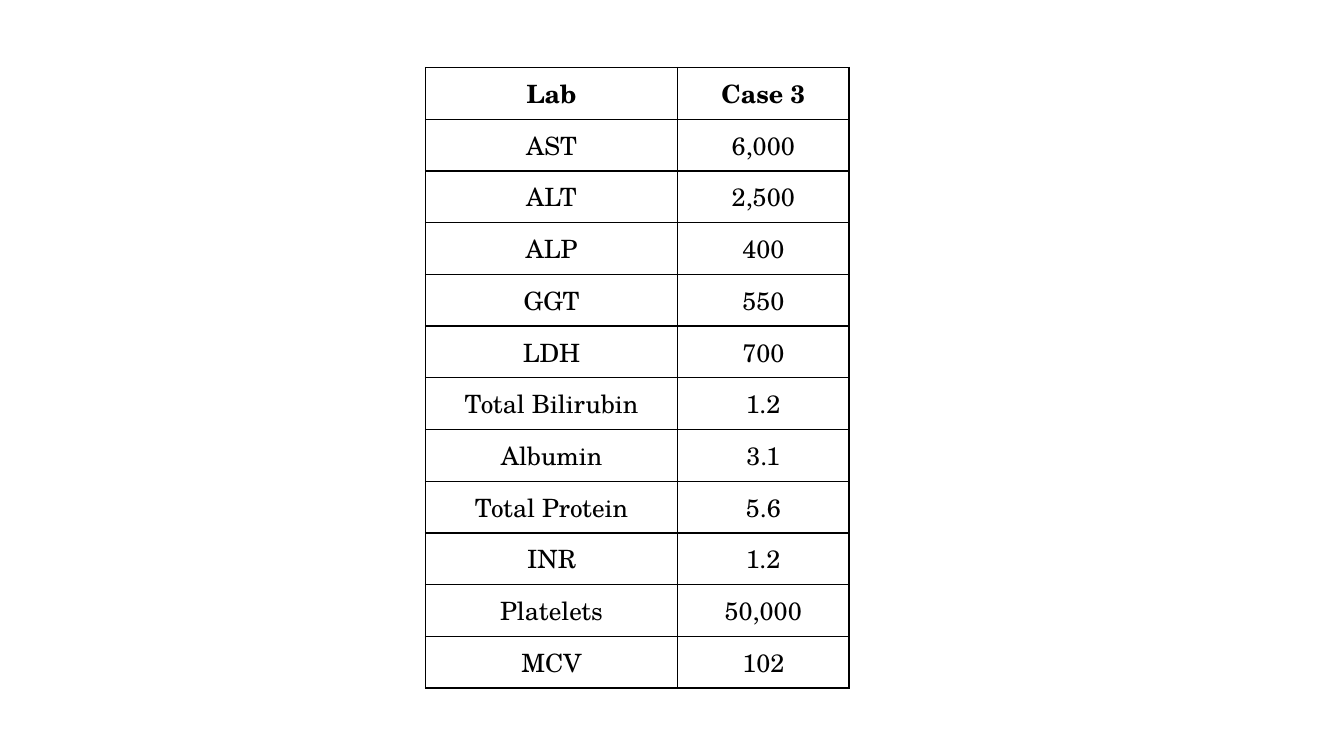
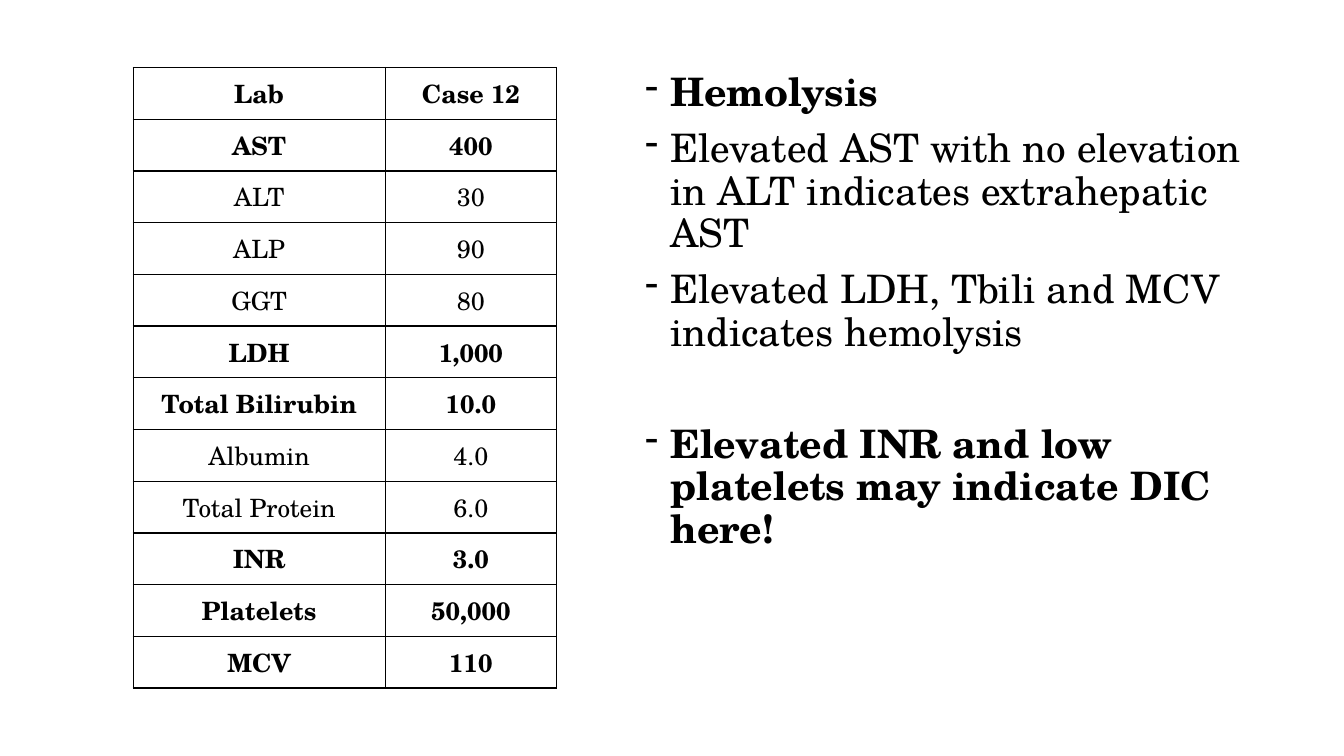
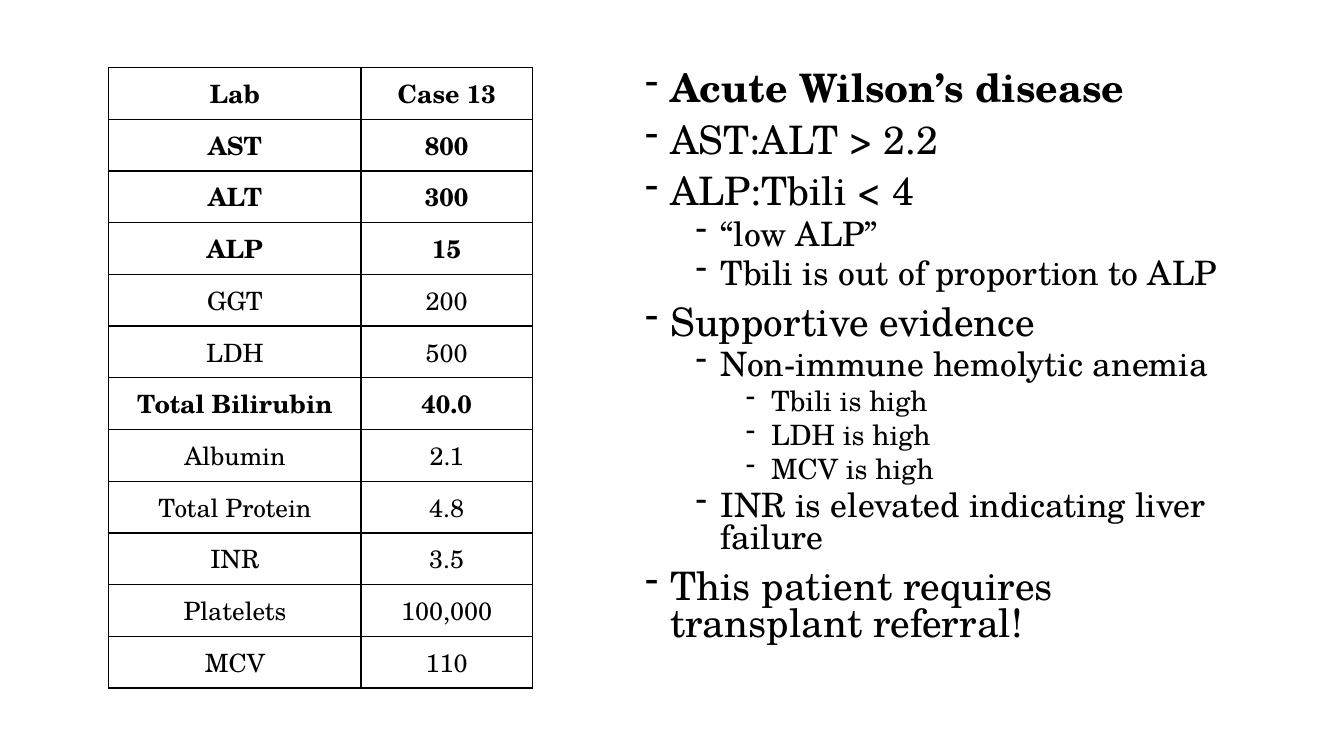
from lxml.etree import SubElement
from pptx import Presentation
from pptx.dml.color import RGBColor
from pptx.enum.text import MSO_ANCHOR as Anchor, PP_ALIGN as Align
from pptx.oxml import parse_xml
from pptx.oxml.ns import nsdecls, qn
from pptx.util import Inches, Pt

BLACK = RGBColor(0x00, 0x00, 0x00)
WHITE = RGBColor(0xFF, 0xFF, 0xFF)
FACE = "TeX Gyre Schola"
TOP, HIGH = 0.67, 6.16
COLS = (2.5, 1.7)
NOTES = (6.3, TOP, 6.11, HIGH)
SIZES = (28, 24, 20)    # note text by level
GAPS = (10, 5, 5)       # space before a note by level
LABS = ("AST", "ALT", "ALP", "GGT", "LDH", "Total Bilirubin", "Albumin",
        "Total Protein", "INR", "Platelets", "MCV")


def style(font, size, bold):
    font.name = FACE
    font.size = Pt(size)
    font.bold = bold
    font.color.rgb = BLACK


def border(cell):
    """Rule all four sides of a cell; the lines must precede its fill."""
    props = cell._tc.get_or_add_tcPr()
    for spot, side in enumerate("LRTB"):
        props.insert(spot, parse_xml(
            f'<a:ln{side} {nsdecls("a")} w="{Pt(1)}"><a:solidFill>'
            f'<a:srgbClr val="{BLACK}"/></a:solidFill></a:ln{side}>'))


def lab_table(slide, left, case, values, high=()):
    """Table of results; the labs named in high are bold."""
    rows = [("Lab", case), *zip(LABS, values)]
    table = slide.shapes.add_table(
        len(rows), len(COLS), Inches(left), Inches(TOP),
        Inches(sum(COLS)), Inches(HIGH)).table
    table.first_row = table.horz_banding = False
    for col, width in zip(table.columns, COLS):
        col.width = Inches(width)
    for r, row in enumerate(rows):
        for c, text in enumerate(row):
            cell = table.cell(r, c)
            cell.fill.solid()
            cell.fill.fore_color.rgb = WHITE
            border(cell)
            cell.vertical_anchor = Anchor.MIDDLE
            cell.text = text
            para = cell.text_frame.paragraphs[0]
            para.alignment = Align.CENTER
            style(para.font, 18, r == 0 or row[0] in high)


def dash(para, level):
    props = para._p.get_or_add_pPr()
    props.set("marL", str(Inches(0.25 + 0.5 * level)))
    props.set("indent", str(Inches(-0.25)))
    SubElement(props, qn("a:buChar")).set("char", "-")


def note_list(slide, box, notes, pitch, bold=(), wide=()):
    """Dashed notes as (level, text); bold and wide hold indexes.

    A wide note stands one empty line further down.
    """
    frame = slide.shapes.add_textbox(*map(Inches, box)).text_frame
    frame.word_wrap = True
    for i, (level, text) in enumerate(notes):
        para = frame.add_paragraph() if i else frame.paragraphs[0]
        para.text = text
        para.level = level
        para.line_spacing = pitch
        if i:
            para.space_before = Pt(50 if i in wide else GAPS[level])
        dash(para, level)
        style(para.font, SIZES[level], i in bold)


def case_3(slide):
    lab_table(slide, 4.22, "Case 3",
              ("6,000", "2,500", "400", "550", "700", "1.2", "3.1", "5.6",
               "1.2", "50,000", "102"))


def case_12(slide):
    lab_table(slide, 1.32, "Case 12",
              ("400", "30", "90", "80", "1,000", "10.0", "4.0", "6.0",
               "3.0", "50,000", "110"),
              ("AST", "LDH", "Total Bilirubin", "INR", "Platelets", "MCV"))
    note_list(slide, NOTES, (
        (0, "Hemolysis"),
        (0, "Elevated AST with no elevation in ALT indicates extrahepatic AST"),
        (0, "Elevated LDH, Tbili and MCV indicates hemolysis"),
        (0, "Elevated INR and low platelets may indicate DIC here!"),
    ), 0.9, bold=(0, 3), wide=(3,))


def case_13(slide):
    lab_table(slide, 1.08, "Case 13",
              ("800", "300", "15", "200", "500", "40.0", "2.1", "4.8",
               "3.5", "100,000", "110"),
              ("AST", "ALT", "ALP", "Total Bilirubin"))
    note_list(slide, NOTES, (
        (0, "Acute Wilson’s disease"),
        (0, "AST:ALT > 2.2"),
        (0, "ALP:Tbili < 4"),
        (1, "“low ALP”"),
        (1, "Tbili is out of proportion to ALP"),
        (0, "Supportive evidence"),
        (1, "Non-immune hemolytic anemia"),
        (2, "Tbili is high"),
        (2, "LDH is high"),
        (2, "MCV is high"),
        (1, "INR is elevated indicating liver failure"),
        (0, "This patient requires transplant referral!"),
    ), 0.8, bold=(0,))


def main():
    deck = Presentation()
    deck.slide_width, deck.slide_height = Inches(13.33), Inches(7.5)
    for build in (case_3, case_12, case_13):
        build(deck.slides.add_slide(deck.slide_layouts[6]))
    deck.save("out.pptx")


if __name__ == "__main__":
    main()
